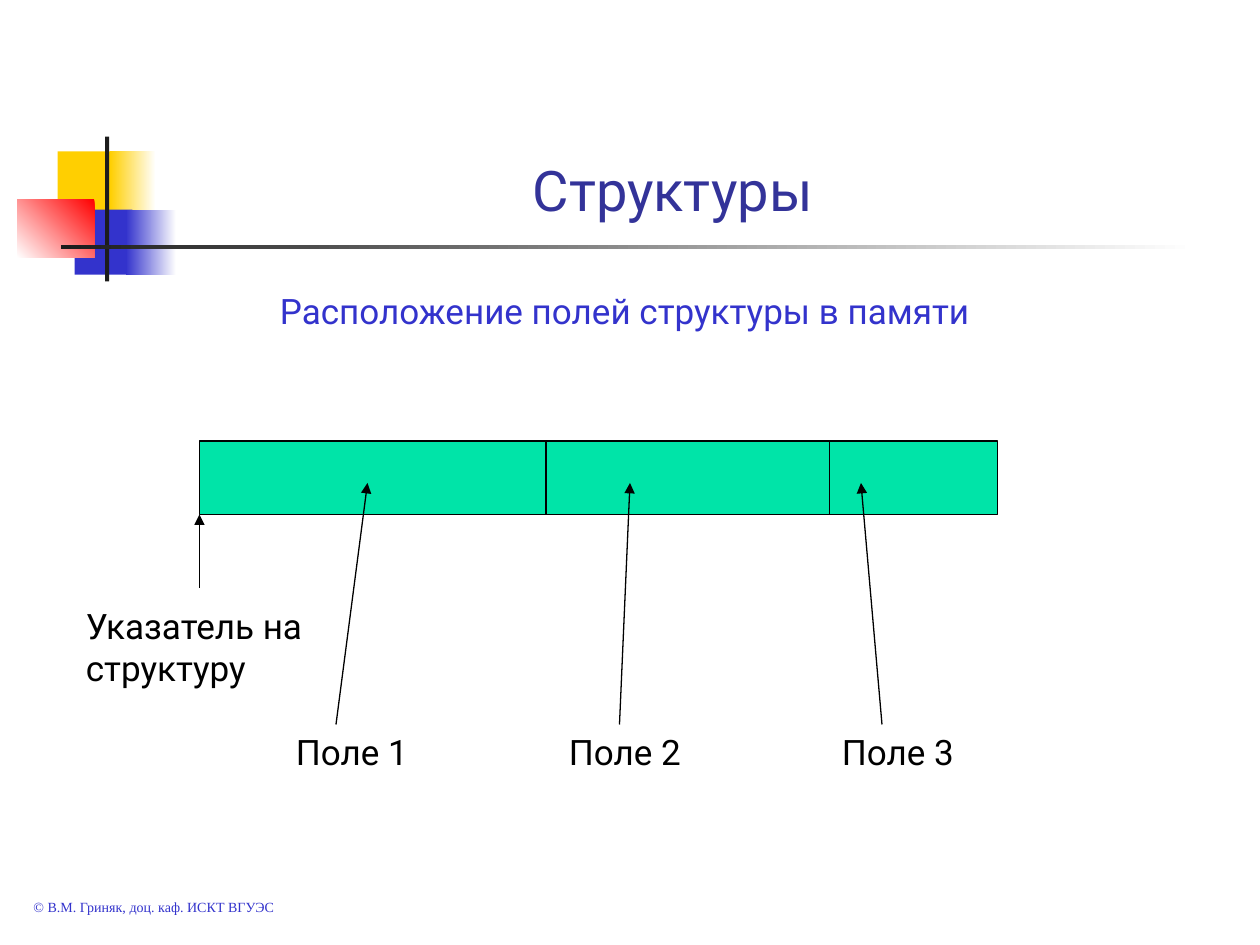
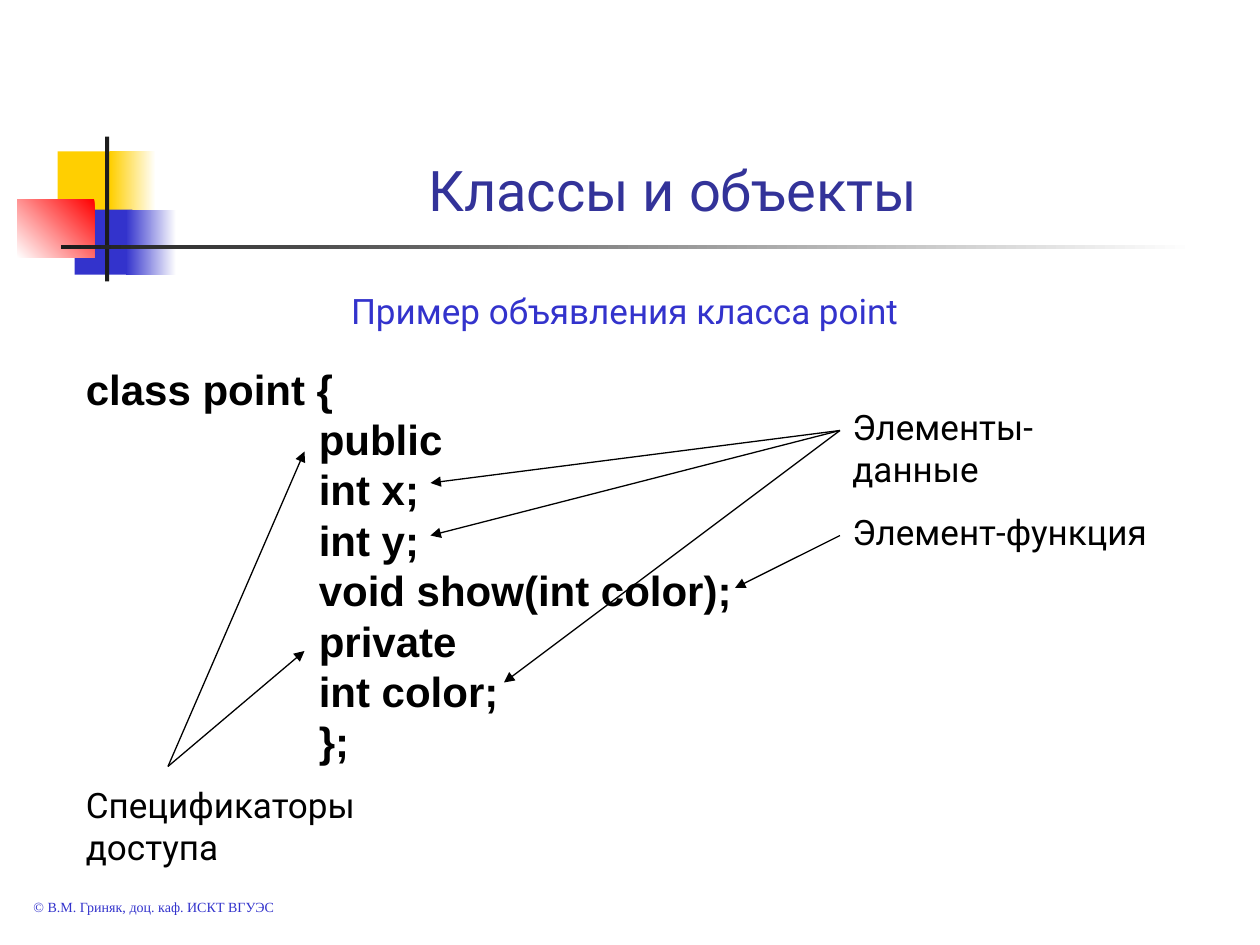
import pptx
import pptx.util
import pptx.dml.color
import pptx.enum.shapes
import pptx.enum.text
import pptx.oxml.ns
from lxml import etree

Pt = pptx.util.Pt
RGBColor = pptx.dml.color.RGBColor
PP_ALIGN = pptx.enum.text.PP_ALIGN
MSO_ANCHOR = pptx.enum.text.MSO_ANCHOR
qn = pptx.oxml.ns.qn

WHITE = RGBColor(0xFF, 0xFF, 0xFF)
BLACK = RGBColor(0x00, 0x00, 0x00)
INK = RGBColor(0x1C, 0x1C, 0x1C)
YELLOW = RGBColor(0xFF, 0xCF, 0x01)
BLUE = RGBColor(0x33, 0x33, 0xCC)
RED = RGBColor(0xFF, 0x00, 0x00)
NAVY = RGBColor(0x33, 0x33, 0x99)
GREEN = RGBColor(0x00, 0xE4, 0xA8)

FOOTER = "© В.М. Гриняк, доц. каф. ИСКТ ВГУЭС"
CODE = """class point {
                    public
                    int x;
                    int y;
                    void show(int color);
                    private
                    int color;
                    };"""


class Deck:
    body_font = "Roboto"
    body_size = 20
    line_width = Pt(0.75)

    def __init__(self):
        self.prs = pptx.Presentation()
        self.prs.slide_width, self.prs.slide_height = Pt(720), Pt(540)
        self.s = None

    def slide(self, title, subtitle):
        self.s = self.prs.slides.add_slide(self.prs.slide_layouts[6])
        self.s.background.fill.solid()
        self.s.background.fill.fore_color.rgb = WHITE
        self.emblem()
        self.text(title, 78, 42, 613, 89, size=32, color=NAVY,
                  align=PP_ALIGN.CENTER, anchor=MSO_ANCHOR.BOTTOM)
        self.text(FOOTER, 12, 510, 192, 17, size=8, color=BLUE, font="Times New Roman")
        self.text(subtitle, 24, 162, 666, 32, color=BLUE, align=PP_ALIGN.CENTER)

    def emblem(self):
        self.box(33, 86.5, 34.5, 37.5, YELLOW)
        self.box(63, 86.5, 26, 37.5, (WHITE, YELLOW))
        self.box(42.7, 119.8, 33, 37.2, BLUE)
        self.box(72, 119.8, 28.6, 37.2, (WHITE, BLUE))
        self.box(9.8, 113.8, 44.2, 33.4, (RED, WHITE), angle=225)
        self.box(60, 78, 2.4, 82.8, INK)
        self.box(34.8, 140, 648, 2.5, (WHITE, INK))

    def box(self, x, y, w, h, fill, line=None, angle=180):
        sp = self.s.shapes.add_shape(
            pptx.enum.shapes.MSO_SHAPE.RECTANGLE, Pt(x), Pt(y), Pt(w), Pt(h))
        sp.shadow.inherit = False
        if isinstance(fill, RGBColor):
            sp.fill.solid()
            sp.fill.fore_color.rgb = fill
        else:
            sp.fill.gradient()
            sp.fill.gradient_angle = angle
            for i, (stop, color) in enumerate(zip(sp.fill.gradient_stops, fill)):
                stop.position = i
                stop.color.rgb = color
        if line is None:
            sp.line.fill.background()
        else:
            sp.line.color.rgb = line
            sp.line.width = self.line_width

    def text(self, text, x, y, w, h, size=body_size, color=BLACK, font=body_font,
             bold=False, align=PP_ALIGN.LEFT, anchor=MSO_ANCHOR.TOP, spacing=None):
        tf = self.s.shapes.add_textbox(Pt(x), Pt(y), Pt(w), Pt(h)).text_frame
        tf.word_wrap = True
        tf.vertical_anchor = anchor
        for i, line in enumerate(text.split("\n")):
            p = tf.add_paragraph() if i else tf.paragraphs[0]
            p.alignment = align
            if spacing:
                p.line_spacing = Pt(spacing)
            r = p.add_run()
            r.text = line
            r.font.name, r.font.size, r.font.bold = font, Pt(size), bold
            r.font.color.rgb = color

    def label(self, text, x, y, w, h=55):
        self.text(text, x, y, w, h, spacing=24)

    def arrow(self, start, end):
        c = self.s.shapes.add_connector(
            pptx.enum.shapes.MSO_CONNECTOR.STRAIGHT, *map(Pt, start + end))
        c.line.color.rgb = BLACK
        c.line.width = self.line_width
        etree.SubElement(c.line._get_or_add_ln(), qn("a:tailEnd"), type="triangle")
        etree.SubElement(c._element.spPr, qn("a:effectLst"))


def structures(deck):
    deck.slide("Структуры", "Расположение полей структуры в памяти")
    x = 114
    for width in (198, 162, 96):
        deck.box(x, 252, width, 42, GREEN, line=BLACK)
        x += width
    deck.label("Указатель на структуру", 42, 342, 138)
    deck.arrow((114, 336), (114, 294))
    fields = ((192, 210), (354, 360), (504, 492))
    for i, (start, end) in enumerate(fields):
        deck.label(f"Поле {i + 1}", 162 + 156 * i, 414, 138, 32)
        deck.arrow((start, 414), (end, 276))


def classes(deck):
    deck.slide("Классы и объекты", "Пример объявления класса point")
    deck.text(CODE, 42, 204, 654, 238, size=24, font="Arial", bold=True,
              align=PP_ALIGN.JUSTIFY, spacing=28.8)
    deck.label("Элементы-данные", 480, 228, 186)
    deck.label("Элемент-функция", 480, 288, 186)
    deck.label("Спецификаторы доступа", 42, 444, 186)
    targets = {
        (480, 246): ((246, 276), (246, 306), (288, 390)),
        (480, 306): ((420, 336),),
        (96, 438): ((174, 372), (174, 258)),
    }
    for start, ends in targets.items():
        for end in ends:
            deck.arrow(start, end)


def main():
    deck = Deck()
    structures(deck)
    classes(deck)
    deck.prs.save("out.pptx")


if __name__ == "__main__":
    main()
